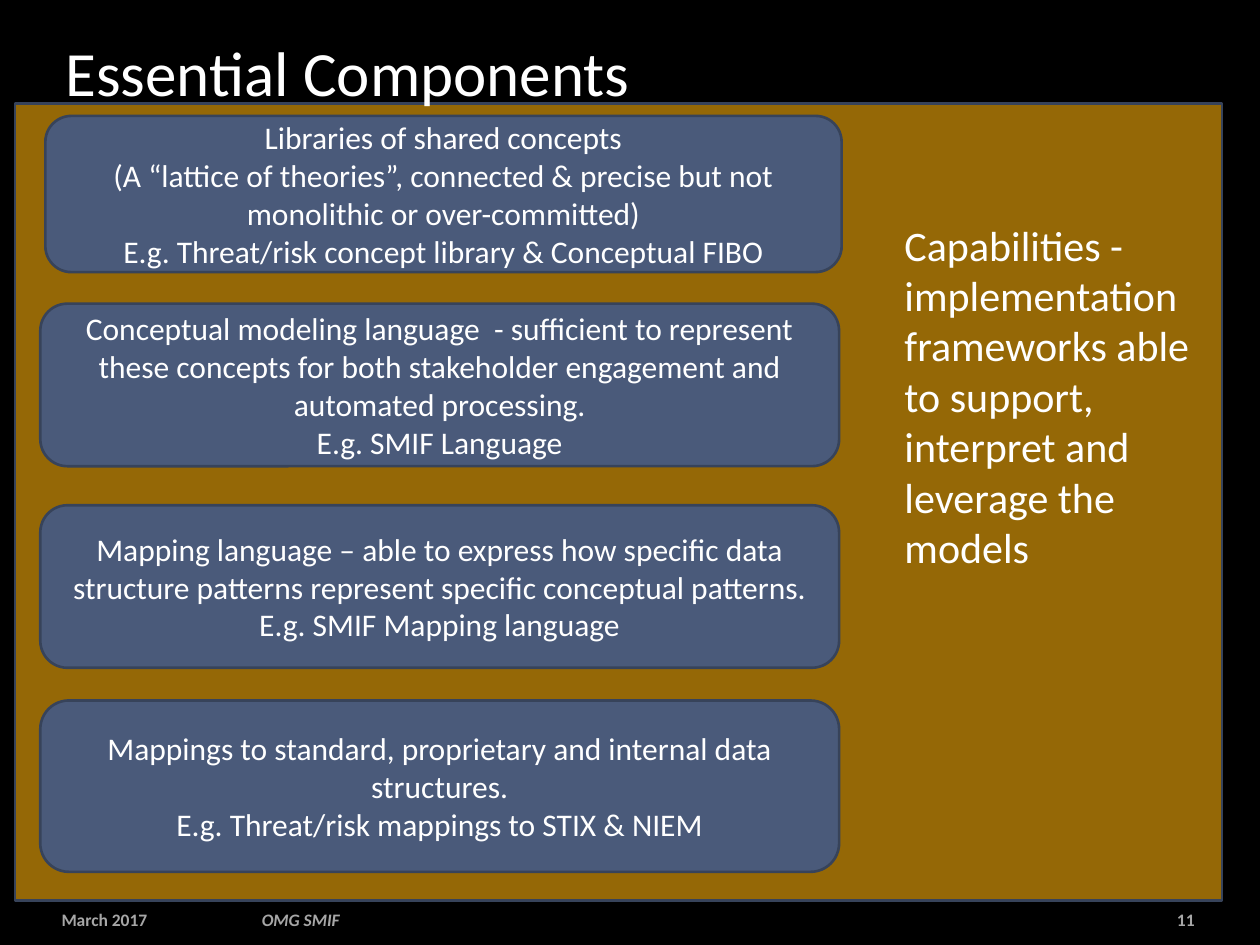
from pptx import Presentation
from pptx.dml.color import RGBColor
from pptx.enum.shapes import MSO_SHAPE
from pptx.enum.text import MSO_ANCHOR, MSO_AUTO_SIZE, PP_ALIGN
from pptx.util import Inches, Pt

COLORS = {
    "background": "000000",
    "panel": "956806",
    "component": "4A5A7A",
    "outline": "37435A",
    "text": "FFFFFF",
    "footer": "A6A6A6",
}

# Each component: left, top, width, height in inches, then its paragraphs
COMPONENTS = [
    ((0.36, 0.92, 6.32, 1.24), [
        "Libraries of shared concepts",
        "(A “lattice of theories”, connected & precise but not monolithic or over-committed)",
        "E.g. Threat/risk concept library & Conceptual FIBO",
    ]),
    ((0.32, 2.41, 6.34, 1.29), [
        "Conceptual modeling language  - sufficient to represent these concepts "
        "for both stakeholder engagement and automated processing.",
        "E.g. SMIF Language",
    ]),
    ((0.32, 4.01, 6.34, 1.29), [
        "Mapping language – able to express how specific data structure patterns "
        "represent specific conceptual patterns. E.g. SMIF Mapping language",
    ]),
    ((0.32, 5.56, 6.34, 1.36), [
        "Mappings to standard, proprietary and internal data structures.",
        "E.g. Threat/risk mappings to STIX & NIEM",
    ]),
]


def rgb(name):
    return RGBColor.from_string(COLORS[name])


def write(frame, paragraphs, size, color="text", align=PP_ALIGN.LEFT,
          anchor=MSO_ANCHOR.TOP, bold=False, italic=False):
    frame.word_wrap = True
    frame.auto_size = MSO_AUTO_SIZE.NONE
    frame.vertical_anchor = anchor
    frame.text = "\n".join(paragraphs)
    for paragraph in frame.paragraphs:
        paragraph.alignment = align
        font = paragraph.font
        font.name, font.size = "Calibri", Pt(size)
        font.bold, font.italic = bold, italic
        font.color.rgb = rgb(color)


def add_block(slide, preset, box, fill):
    block = slide.shapes.add_shape(preset, *map(Inches, box))
    block.shadow.inherit = False
    block.fill.solid()
    block.fill.fore_color.rgb = rgb(fill)
    block.line.color.rgb = rgb("outline")
    block.line.width = Pt(1.5)
    return block


def add_text(slide, box, text, size, **style):
    label = slide.shapes.add_textbox(*map(Inches, box))
    write(label.text_frame, [text], size, **style)


def place_title(slide, box, text):
    title = slide.shapes.title
    title.left, title.top, title.width, title.height = map(Inches, box)
    write(title.text_frame, [text], 36, anchor=MSO_ANCHOR.BOTTOM)


def add_components(slide):
    for box, paragraphs in COMPONENTS:
        component = add_block(slide, MSO_SHAPE.ROUNDED_RECTANGLE, box, "component")
        write(component.text_frame, paragraphs, 18,
              align=PP_ALIGN.CENTER, anchor=MSO_ANCHOR.MIDDLE)


def add_footer(slide, top, height):
    for left, width, text, align, italic in [
        (0.39, 1.6, "March 2017", PP_ALIGN.LEFT, False),
        (1.98, 4.47, "OMG SMIF", PP_ALIGN.LEFT, True),
        (8.62, 0.96, "11", PP_ALIGN.RIGHT, False),
    ]:
        add_text(slide, (left, top, width, height), text, 10, color="footer",
                 align=align, anchor=MSO_ANCHOR.MIDDLE, bold=True, italic=italic)


def main():
    deck = Presentation()
    deck.slide_width, deck.slide_height = Inches(10), Inches(7.5)
    slide = deck.slides.add_slide(deck.slide_layouts[5])
    slide.background.fill.solid()
    slide.background.fill.fore_color.rgb = rgb("background")

    panel = add_block(slide, MSO_SHAPE.RECTANGLE, (0.12, 0.82, 9.58, 6.33), "panel")
    # The title overlaps the panel, so the panel goes behind it
    slide.shapes.title.element.addprevious(panel.element)
    place_title(slide, (0.42, 0.17, 8.4, 0.75), "Essential Components")
    add_components(slide)
    add_text(slide, (7.08, 1.69, 2.58, 2.93),
             "Capabilities - implementation frameworks able to support, "
             "interpret and leverage the models", 24)
    add_footer(slide, top=7.16, height=0.27)
    deck.save("out.pptx")


if __name__ == "__main__":
    main()
